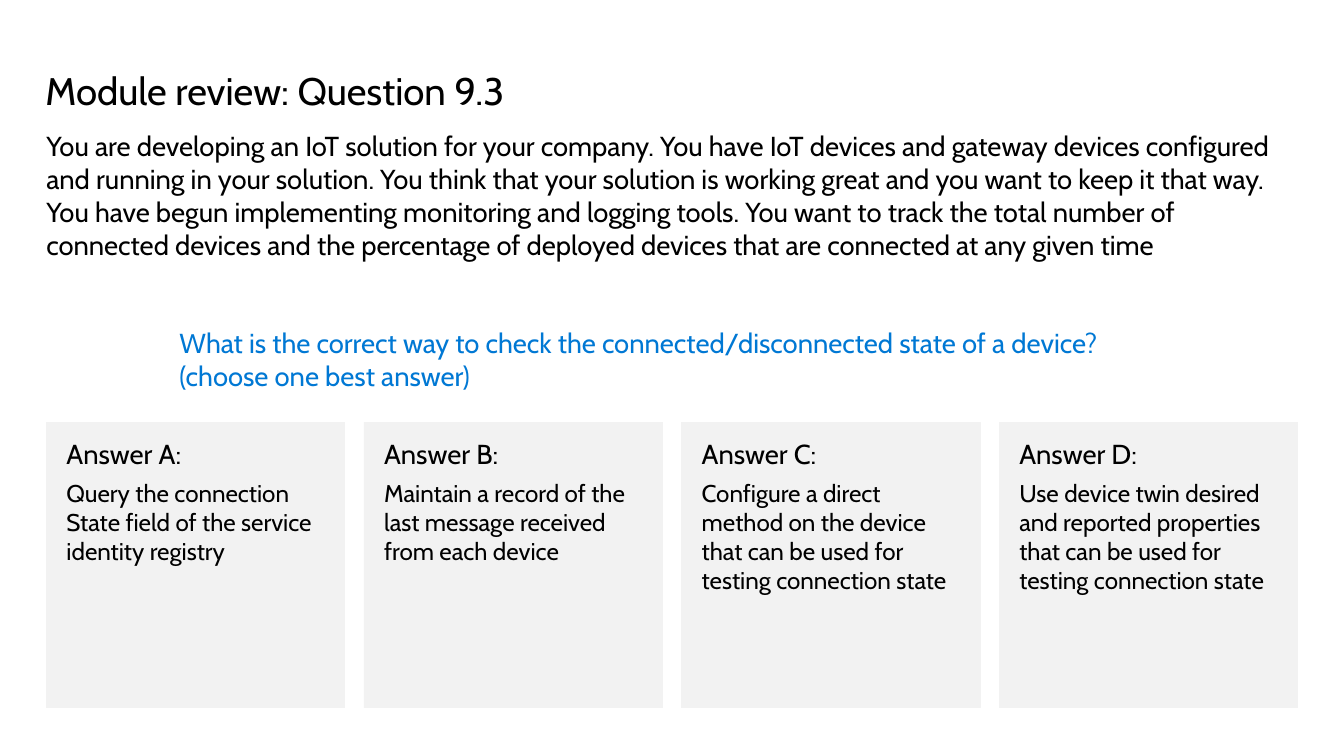
"""Build the quiz slide for question 9.3 with four answer cards."""
from dataclasses import dataclass

from pptx import Presentation
from pptx.dml.color import RGBColor
from pptx.enum.shapes import MSO_SHAPE
from pptx.enum.text import MSO_ANCHOR, PP_ALIGN
from pptx.shapes.autoshape import Shape
from pptx.slide import Slide
from pptx.util import Pt

RECT = MSO_SHAPE.RECTANGLE
TOP, MIDDLE = MSO_ANCHOR.TOP, MSO_ANCHOR.MIDDLE
LEFT = PP_ALIGN.LEFT

BLACK = RGBColor(0x00, 0x00, 0x00)
BLUE = RGBColor(0x00, 0x78, 0xD4)
GREY = RGBColor(0xF2, 0xF2, 0xF2)

FONT = "Cabin"
SCALE = 9144
WIDE, HIGH = 1333, 750
HEAD_SIZE, TEXT_SIZE, CARD_SIZE = 27.4, 19.6, 17.3
CARD_LEFT, CARD_TOP, CARD_WIDE, CARD_HIGH = 46, 419, 296, 283
CARD_STEP = 315
PAD_X, PAD_Y = 20, 15
GAP = 2.9


@dataclass(frozen=True)
class Line:
    """One paragraph and its look."""
    text: str
    size: float
    color: RGBColor = BLACK


@dataclass(frozen=True)
class Block:
    """A text box with its place in px."""
    left: int
    top: int
    wide: int
    high: int
    line: Line
    anchor: MSO_ANCHOR = TOP


@dataclass(frozen=True)
class Card:
    """One answer and its letter."""
    mark: str
    text: str


BLOCKS = [
    Block(45, 67, 1216, 46, Line("Module review: Question 9.3", HEAD_SIZE)),
    Block(46, 128, 1240, 165, Line(
        "You are developing an IoT solution for your company. You have IoT "
        "devices and gateway devices configured and running in your solution. "
        "You think that your solution is working great and you want to keep it "
        "that way. You have begun implementing monitoring and logging tools. "
        "You want to track the total number of connected devices and the "
        "percentage of deployed devices that are connected at any given time",
        TEXT_SIZE)),
    Block(178, 323, 1102, 66, Line(
        "What is the correct way to check the connected/disconnected state of "
        "a device? \n(choose one best answer)", TEXT_SIZE, BLUE), MIDDLE),
]

CARDS = [
    Card("A", "Query the connection State field of the service identity registry"),
    Card("B", "Maintain a record of the last message received from each device"),
    Card("C", "Configure a direct method on the device that can be used for "
              "testing connection state"),
    Card("D", "Use device twin desired and reported properties that can be used "
              "for testing connection state"),
]


def px(count: int) -> int:
    """Turn px into EMU."""
    return count * SCALE


def put(target: object, form: dict[str, object]) -> None:
    """Set each attribute named in the form."""
    for name, value in form.items():
        setattr(target, name, value)


def write(shape: Shape, lines: list[Line], anchor: MSO_ANCHOR,
          pad_x: int = 0, pad_y: int = 0) -> None:
    """Fill a shape with styled paragraphs."""
    frame = shape.text_frame
    put(frame, {"word_wrap": True, "vertical_anchor": anchor,
                "margin_left": px(pad_x), "margin_right": px(pad_x),
                "margin_top": px(pad_y), "margin_bottom": px(pad_y)})
    for rank, line in enumerate(lines):
        para = frame.add_paragraph() if rank else frame.paragraphs[0]
        put(para, {"text": line.text, "alignment": LEFT})
        if len(lines) > 1:
            put(para, {"space_before": Pt(GAP if rank else 0),
                       "space_after": Pt(GAP)})
        for run in para.runs:
            put(run.font, {"name": FONT, "size": Pt(line.size)})
            run.font.color.rgb = line.color


def draw_block(slide: Slide, block: Block) -> None:
    """Draw one text box."""
    box = slide.shapes.add_textbox(
        px(block.left), px(block.top), px(block.wide), px(block.high))
    write(box, [block.line], block.anchor)


def draw_card(slide: Slide, rank: int, card: Card) -> None:
    """Draw one answer card in its column."""
    shape = slide.shapes.add_shape(
        RECT, px(CARD_LEFT + rank * CARD_STEP), px(CARD_TOP),
        px(CARD_WIDE), px(CARD_HIGH))
    shape.shadow.inherit = False
    shape.fill.solid()
    shape.fill.fore_color.rgb = GREY
    shape.line.color.rgb = GREY
    shape.line.width = Pt(0.5)
    lines = [Line(f"Answer {card.mark}:", TEXT_SIZE), Line(card.text, CARD_SIZE)]
    write(shape, lines, TOP, PAD_X, PAD_Y)


def main() -> None:
    """Build and save the slide."""
    deck = Presentation()
    put(deck, {"slide_width": px(WIDE), "slide_height": px(HIGH)})
    slide = deck.slides.add_slide(deck.slide_layouts[6])
    for block in BLOCKS:
        draw_block(slide, block)
    for rank, card in enumerate(CARDS):
        draw_card(slide, rank, card)
    deck.save("out.pptx")


if __name__ == "__main__":
    main()
